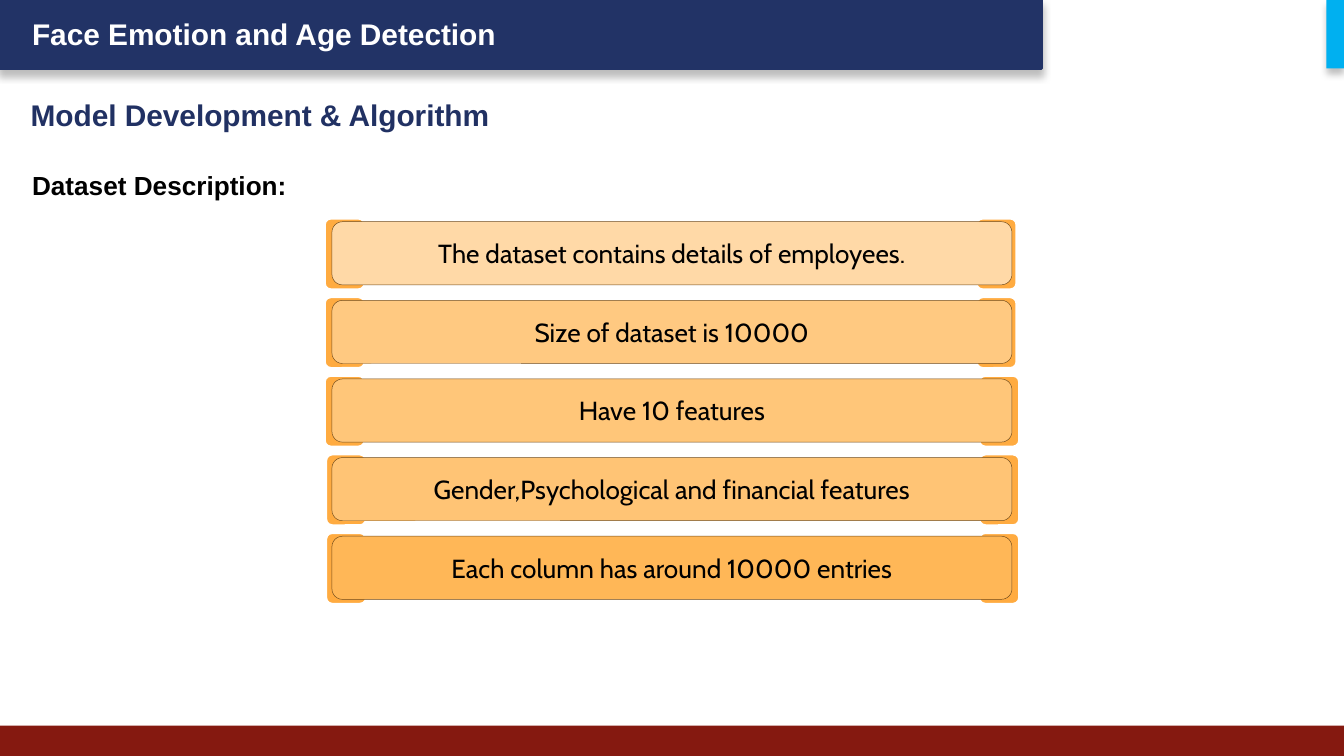
from lxml.etree import SubElement
from pptx import Presentation
from pptx.dml.color import RGBColor
from pptx.enum.shapes import MSO_SHAPE
from pptx.enum.text import MSO_ANCHOR, MSO_AUTO_SIZE, PP_ALIGN
from pptx.oxml.ns import qn
from pptx.util import Inches, Pt

NAVY, TAB_COLOR, BAR_LINE = "223366", "FFAB40", "704B1C"

# left, top, width, height, fill, line, shadow
BANDS = [
    (0, 0, 7.75, 0.51, NAVY, (NAVY, 2), True),
    (0, 5.4, 10, 0.23, "851910", None, False),
    (9.87, 0, 0.13, 0.51, "00B0F0", None, True),
]
# text, left, top, width, height, inset above and below, size, colour, space after, grows
HEADINGS = [
    ("Face Emotion and Age Detection", 0.14, 0.07, 4.25, 0.37, 0.05, 16, "FFFFFF", 0, True),
    ("Model Development & Algorithm", 0.13, 0.62, 4.87, 0.47, 0.1, 16, "213163", 0, False),
    ("Dataset Description:", 0.14, 1.16, 4.8, 0.55, 0.1, 14, "000000", 8, True),
]
# text, bar fill, left edges of the two tabs behind the bar
FACTS = [
    ("The dataset contains details of employees.", "FFD9A7", (2.41, 7.26)),
    ("Size of dataset is 10000", "FFC981", (2.41, 7.26)),
    ("Have 10 features", "FFC679", (2.41, 7.28)),
    ("Gender,Psychological and financial features", "FFC475", (2.42, 7.28)),
    ("Each column has around 10000 entries", "FFB757", (2.42, 7.28)),
]
BAR_LEFT, BAR_WIDTH, BAR_HEIGHT = 2.47, 5.06, 0.47
FIRST_TOP, LAST_TOP = 1.65, 3.99
BAR_PITCH = (LAST_TOP - FIRST_TOP) / (len(FACTS) - 1)
TAB_WIDTH, TAB_HEIGHT, TAB_RISE = 0.31, 0.54, 0.03


def color(value):
    return RGBColor.from_string(value)


def add_block(page, kind, place, fill, line=None):
    block = page.shapes.add_shape(kind, *map(Inches, place))
    block.shadow.inherit = False
    block.fill.solid()
    block.fill.fore_color.rgb = color(fill)
    if line:
        block.line.color.rgb = color(line[0])
        block.line.width = Pt(line[1])
    else:
        block.line.fill.background()
    return block


def add_shadow(block):
    effects = block._element.spPr.find(qn("a:effectLst"))
    outer = SubElement(effects, qn("a:outerShdw"), blurRad=str(Pt(4)),
                       dist=str(Pt(3)), dir="5400000", algn="t", rotWithShape="0")
    black = SubElement(outer, qn("a:srgbClr"), val="000000")
    SubElement(black, qn("a:alpha"), val="25000")


def write(box, text, text_color, **font_format):
    """Put one paragraph in the box and return it."""
    box.text_frame.word_wrap = True
    para = box.text_frame.paragraphs[0]
    span = para.add_run()
    span.text = text
    span.font.color.rgb = color(text_color)
    for name, value in font_format.items():
        setattr(span.font, name, value)
    return para


def add_heading(page, text, left, top, width, height, inset, size, text_color, after, grows):
    box = page.shapes.add_textbox(*map(Inches, (left, top, width, height)))
    box.text_frame.margin_top = box.text_frame.margin_bottom = Inches(inset)
    para = write(box, text, text_color, name="Arial", size=Pt(size), bold=True)
    if after:
        para.space_after = Pt(after)
    if grows:
        box.text_frame.auto_size = MSO_AUTO_SIZE.SHAPE_TO_FIT_TEXT


def add_bar(page, text, top, fill):
    place = (BAR_LEFT, top, BAR_WIDTH, BAR_HEIGHT)
    bar = add_block(page, MSO_SHAPE.ROUNDED_RECTANGLE, place, fill, (BAR_LINE, 0.25))
    bar.text_frame.vertical_anchor = MSO_ANCHOR.MIDDLE
    para = write(bar, text, "000000", name="Cabin", size=Pt(14))
    para.alignment = PP_ALIGN.CENTER


def main():
    deck = Presentation()
    deck.slide_width = Inches(10)
    deck.slide_height = deck.slide_width * 9 // 16
    page = deck.slides.add_slide(deck.slide_layouts[6])

    for *place, fill, line, shadowed in BANDS:
        band = add_block(page, MSO_SHAPE.RECTANGLE, place, fill, line)
        if shadowed:
            add_shadow(band)
    for heading in HEADINGS:
        add_heading(page, *heading)
    for row, (text, fill, tab_lefts) in enumerate(FACTS):
        top = FIRST_TOP + row * BAR_PITCH
        for left in tab_lefts:
            place = (left, top - TAB_RISE, TAB_WIDTH, TAB_HEIGHT)
            add_block(page, MSO_SHAPE.ROUNDED_RECTANGLE, place, TAB_COLOR, ("FFFFFF", 2))
        add_bar(page, text, top, fill)

    deck.save("out.pptx")


if __name__ == "__main__":
    main()
